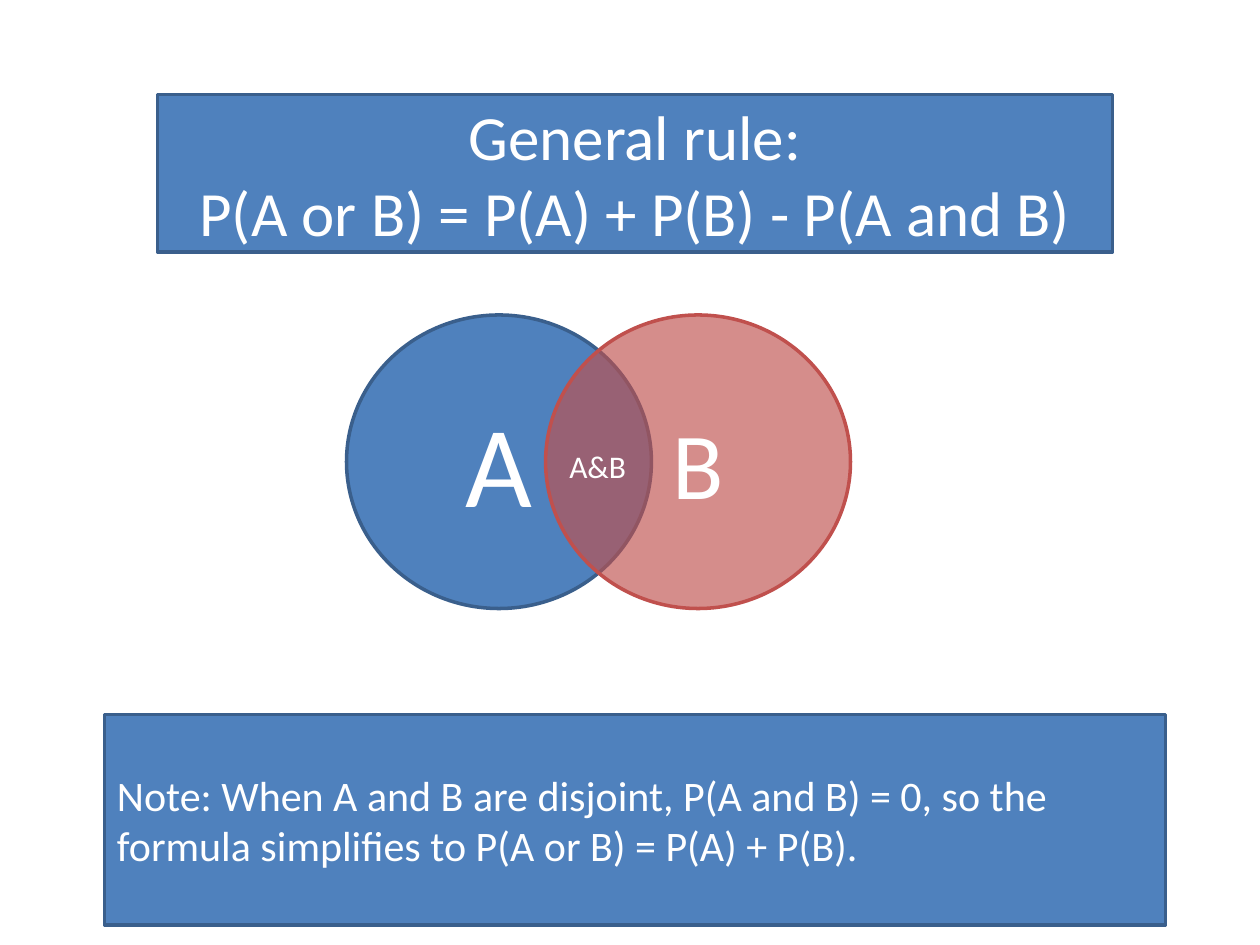
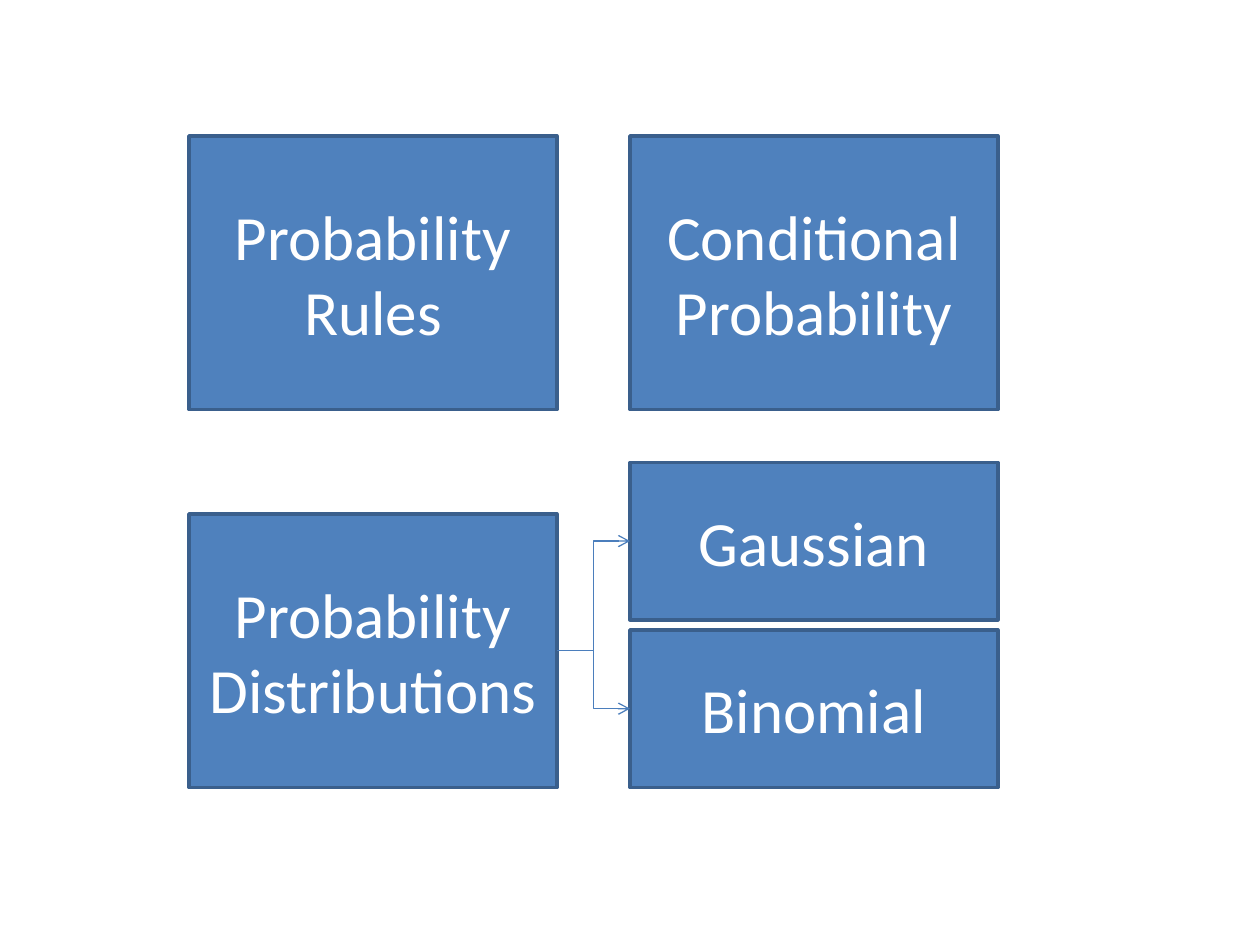
from lxml import etree
from pptx import Presentation
from pptx.dml.color import RGBColor
from pptx.enum.shapes import MSO_CONNECTOR, MSO_SHAPE
from pptx.enum.text import MSO_ANCHOR, MSO_AUTO_SIZE, PP_ALIGN
from pptx.oxml.ns import qn
from pptx.util import Inches, Pt

RULE = ["General rule:", "P(A or B) = P(A) + P(B) - P(A and B)"]
NOTE = ["Note: When A and B are disjoint, P(A and B) = 0, so the formula "
        "simplifies to P(A or B) = P(A) + P(B)."]
OVERLAP = ["A&B"]
TOPICS = [["Probability Rules"], ["Conditional Probability"]]
DISTRIBUTIONS = ["Probability", "Distributions"]
KINDS = [["Gaussian"], ["Binomial"]]

BLUE = RGBColor(0x4F, 0x81, 0xBD)
EDGE = RGBColor(0x3A, 0x5F, 0x8C)
ARROW = RGBColor(0x4B, 0x7E, 0xBC)
RED = RGBColor(0xC0, 0x50, 0x4D)
WHITE = RGBColor(0xFF, 0xFF, 0xFF)
FONT = {"name": "Calibri"}

COLUMNS = (1.5, 5)
BOX_W, BOX_H = 2.92, 2.17
KIND_H, KIND_STEP = 1.25, 1.33
CIRCLE_W, CIRCLE_H = 2.42, 2.33
RIGHT_SITE, LEFT_SITE = 3, 1


def write(tf, lines, size, align):
    """Fill a text frame with one paragraph per line."""
    for i, line in enumerate(lines):
        p = tf.paragraphs[0] if i == 0 else tf.add_paragraph()
        p.alignment = align
        r = p.add_run()
        r.text = line
        for key, value in {**FONT, "size": Pt(size)}.items():
            setattr(r.font, key, value)
        r.font.color.rgb = WHITE


def add_box(s, lines, at, size=36, kind=MSO_SHAPE.RECTANGLE, fill=BLUE,
            edge=EDGE, align=PP_ALIGN.CENTER):
    """Add a filled, outlined shape with centred-height text."""
    sp = s.shapes.add_shape(kind, *map(Inches, at))
    sp.shadow.inherit = False
    sp.fill.solid()
    sp.fill.fore_color.rgb = fill
    sp.line.color.rgb = edge
    sp.line.width = Pt(2)
    tf = sp.text_frame
    for key, value in {"word_wrap": True, "vertical_anchor": MSO_ANCHOR.MIDDLE}.items():
        setattr(tf, key, value)
    write(tf, lines, size, align)
    return sp


def set_opacity(sp, percent):
    """Make the solid fill of a shape partly transparent."""
    color = sp.fill._xPr.find(qn("a:solidFill")).find(qn("a:srgbClr"))
    etree.SubElement(color, qn("a:alpha"), val=str(percent * 1000))


def add_elbow(s, source, target):
    """Join the right side of one box to the left side of another."""
    cx = s.shapes.add_connector(
        MSO_CONNECTOR.ELBOW,
        source.left + source.width, source.top + source.height // 2,
        target.left, target.top + target.height // 2)
    cx.begin_connect(source, RIGHT_SITE)
    cx.end_connect(target, LEFT_SITE)
    cx.line.color.rgb = ARROW
    cx.line.width = Pt(0.75)
    etree.SubElement(cx.line._get_or_add_ln(), qn("a:tailEnd"), type="arrow")
    etree.SubElement(cx._element.spPr, qn("a:effectLst"))


def build_general_rule(s):
    """Build the addition rule with its Venn diagram."""
    add_box(s, RULE, (1.25, 0.75, 7.58, 1.25))
    add_box(s, NOTE, (0.83, 5.67, 8.42, 1.67), 24, align=PP_ALIGN.LEFT)
    add_box(s, ["A"], (2.75, 2.5, CIRCLE_W, CIRCLE_H), 66, MSO_SHAPE.OVAL)
    circle_b = add_box(s, ["B"], (4.33, 2.5, CIRCLE_W, CIRCLE_H), 54,
                       MSO_SHAPE.OVAL, RED, RED)
    set_opacity(circle_b, 65)
    tf = s.shapes.add_textbox(*map(Inches, (4.42, 3.5, 0.66, 0.4))).text_frame
    for key, value in {"word_wrap": False,
                       "auto_size": MSO_AUTO_SIZE.SHAPE_TO_FIT_TEXT}.items():
        setattr(tf, key, value)
    write(tf, OVERLAP, 18, PP_ALIGN.LEFT)


def build_topics(s):
    """Build the topic map with the two distributions."""
    for x, topic in zip(COLUMNS, TOPICS):
        add_box(s, topic, (x, 1.08, BOX_W, BOX_H))
    source = add_box(s, DISTRIBUTIONS, (COLUMNS[0], 4.08, BOX_W, BOX_H))
    kinds = [add_box(s, kind, (COLUMNS[1], 3.67 + i * KIND_STEP, BOX_W, KIND_H))
             for i, kind in enumerate(KINDS)]
    for kind in kinds:
        add_elbow(s, source, kind)


def main():
    """Build and save the presentation."""
    prs = Presentation()
    prs.slide_width, prs.slide_height = Inches(10), Inches(7.5)
    blank = prs.slide_layouts.get_by_name("Blank")
    for build in (build_general_rule, build_topics):
        build(prs.slides.add_slide(blank))
    prs.save("out.pptx")


if __name__ == "__main__":
    main()
